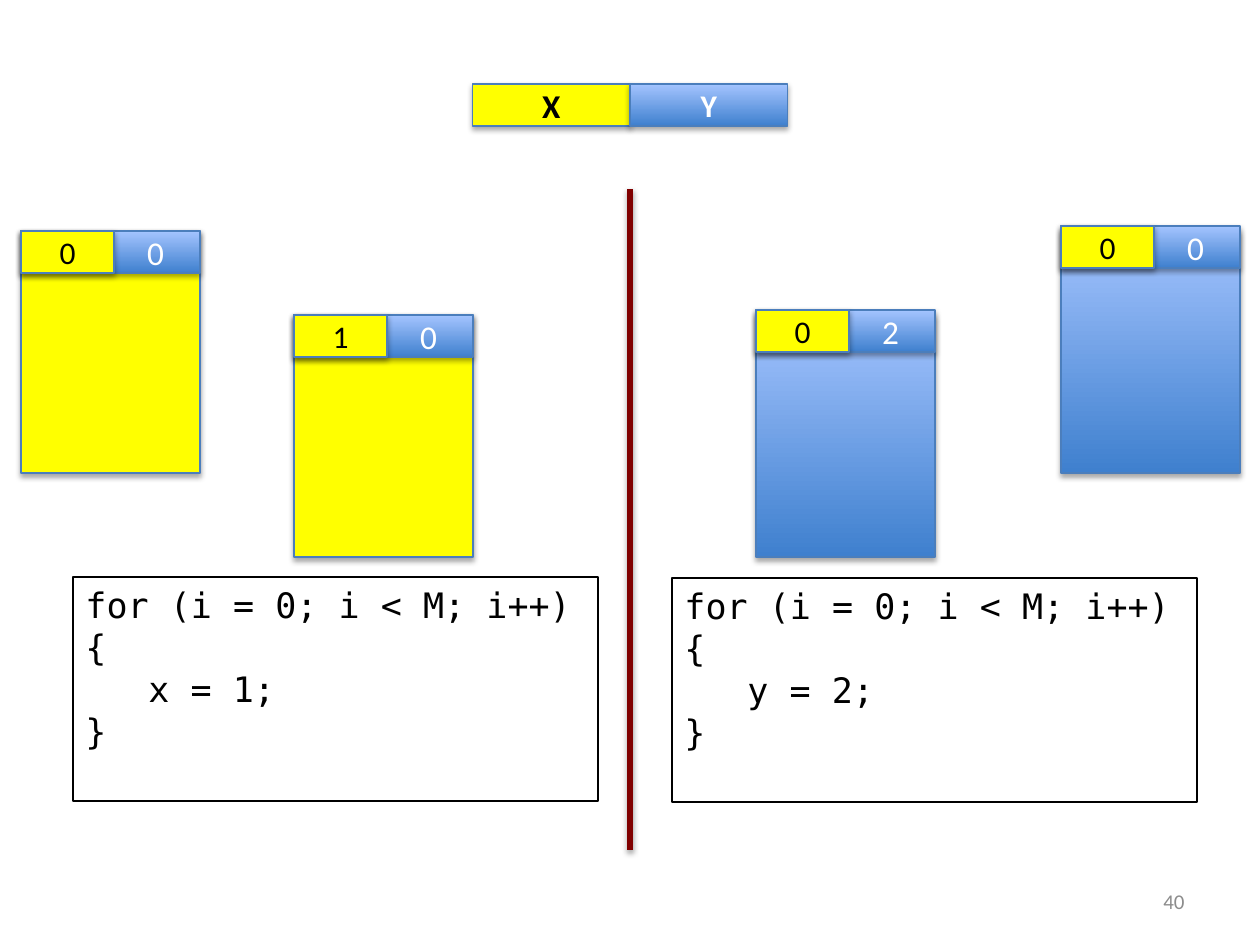
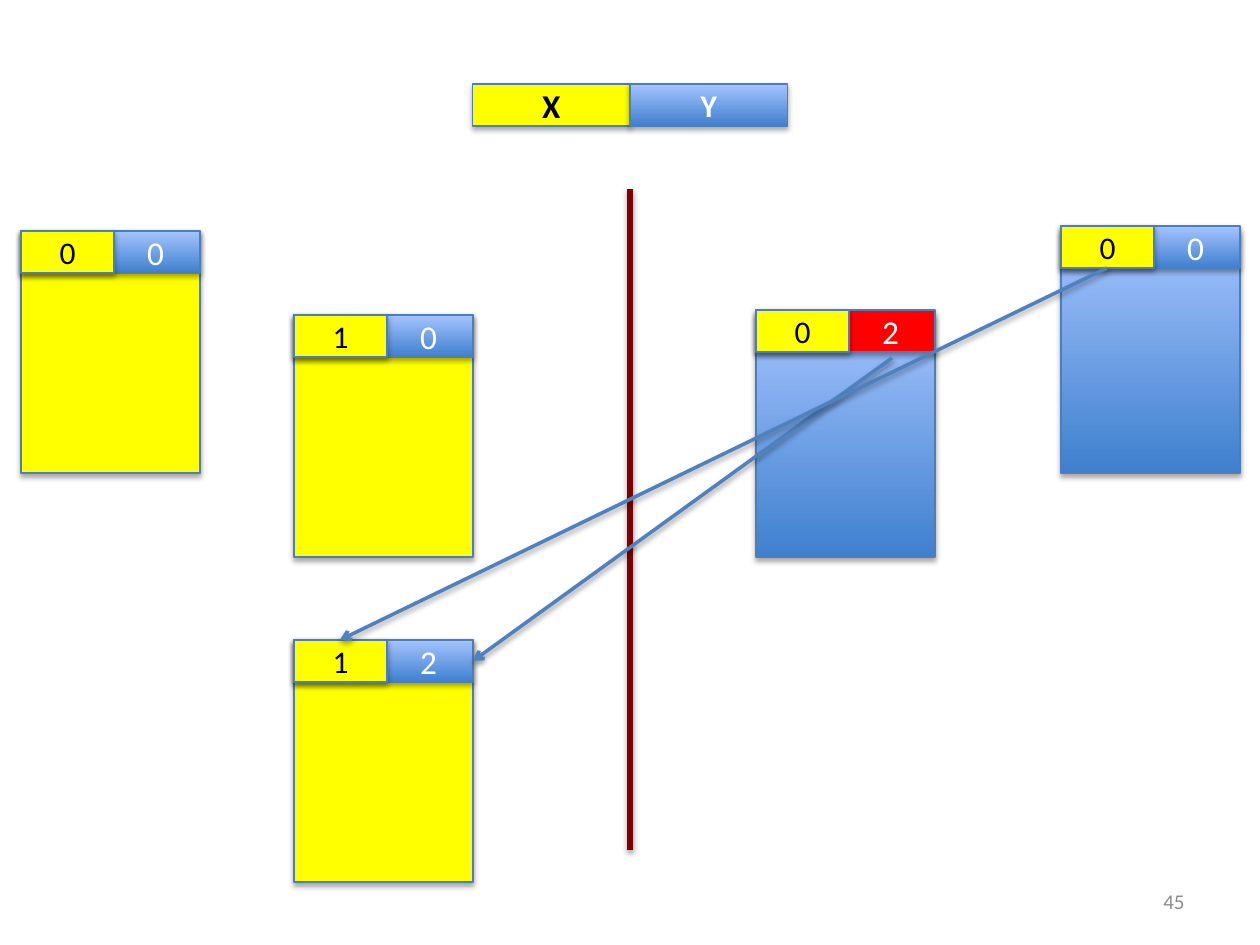
from lxml import etree
from pptx import Presentation
from pptx.dml.color import RGBColor
from pptx.enum.shapes import MSO_CONNECTOR, MSO_SHAPE
from pptx.enum.text import MSO_ANCHOR, PP_ALIGN
from pptx.oxml.ns import qn
from pptx.util import Emu, Pt

RECT = MSO_SHAPE.RECTANGLE
STRAIGHT = MSO_CONNECTOR.STRAIGHT
MIDDLE = MSO_ANCHOR.MIDDLE
LEFT, CENTER, RIGHT = PP_ALIGN.LEFT, PP_ALIGN.CENTER, PP_ALIGN.RIGHT

EMU_PER_PX = 914400 / 126
COLORS = {
    "yellow": "FFFF00", "red": "FF0000", "blue_dark": "3F80CE",
    "blue_light": "A4C4FF", "edge": "4B7EBC", "arrow": "4F81BD",
    "divider": "800000", "black": "000000", "white": "FFFFFF", "gray": "8C8C8C",
}
SANS, MONO = "Calibri", "DejaVu Sans Mono"

NODE_W, BODY_H, CELL_H, KEY_W = 179, 242, 42, 93
BLUE_DROP = 5
INITIAL_X = (21, 231)
WRITTEN_X = (294, 315)
MERGED = (294, 640)
WRITTEN_Y = (756, 310)
INITIAL_Y = (1061, 226)


def px(n):
    """Turn pixels into EMU."""
    return Emu(round(n * EMU_PER_PX))


def rgb(name):
    """Look up a named colour."""
    return RGBColor.from_string(COLORS[name])


def set_text(shape, text, size, color, align=CENTER, font=SANS, bold=False):
    """Write text into a shape and format every run."""
    tf = shape.text_frame
    tf.text = text
    for p in tf.paragraphs:
        p.alignment = align
        for r in p.runs:
            r.font.name, r.font.size, r.font.bold = font, Pt(size), bold
            r.font.color.rgb = rgb(color)


def add_shadow(sp_pr, alpha, dist):
    """Give shape properties a soft shadow falling straight down."""
    effects = sp_pr.find(qn("a:effectLst"))
    if effects is None:
        effects = etree.SubElement(sp_pr, qn("a:effectLst"))
    shadow = etree.SubElement(effects, qn("a:outerShdw"), blurRad="40000",
                              dist=str(dist), dir="5400000", rotWithShape="0")
    color = etree.SubElement(shadow, qn("a:srgbClr"), val=COLORS["black"])
    etree.SubElement(color, qn("a:alpha"), val=str(alpha * 1000))


def add_cell(shapes, x, y, w, h, fill):
    """Add an outlined rectangle, with the blue gradient or a solid colour."""
    sp = shapes.add_shape(RECT, px(x), px(y), px(w), px(h))
    if fill == "blue":
        sp.fill.gradient()
        sp.fill.gradient_angle = 90
        for stop, name in zip(sp.fill.gradient_stops, ("blue_dark", "blue_light")):
            stop.color.rgb = rgb(name)
    else:
        sp.fill.solid()
        sp.fill.fore_color.rgb = rgb(fill)
    sp.line.color.rgb = rgb("edge")
    sp.line.width = Pt(0.75)
    sp.shadow.inherit = False
    add_shadow(sp._element.spPr, 35, 23000)
    return sp


def add_line(s, start, end, color, width, arrow=False):
    """Add a shadowed straight line, with an arrowhead at its end if asked."""
    line = s.shapes.add_connector(STRAIGHT, *map(px, start + end))
    line.line.color.rgb = rgb(color)
    line.line.width = Pt(width)
    if arrow:
        etree.SubElement(line.line._get_or_add_ln(), qn("a:tailEnd"), type="arrow")
    add_shadow(line._element.spPr, 38, 20000)


def add_node(s, origin, x_value, y_value, body="yellow", header="blue"):
    """Add a version: a body under a header that holds the X and Y values."""
    x, y = origin
    shapes = s.shapes.add_group_shape().shapes
    body_y = y + BLUE_DROP if body == "blue" else y
    add_cell(shapes, x, body_y, NODE_W, BODY_H, body)
    add_cell(shapes, x, y, NODE_W, CELL_H, header)
    key = add_cell(shapes, x, y, KEY_W, CELL_H, "yellow")
    set_text(key, x_value, 18, "black")
    value = shapes.add_textbox(px(x + 113), px(y - 5), px(43), px(53))
    value.text_frame.word_wrap = False
    set_text(value, y_value, 19, "white")


def add_code(s, x, y, statement):
    """Add a framed loop that runs one statement."""
    sp = s.shapes.add_textbox(px(x), px(y), px(525), px(224))
    sp.text_frame.word_wrap = True
    sp.line.color.rgb = rgb("black")
    sp.line.width = Pt(1.5)
    set_text(sp, f"for (i = 0; i < M; i++)\n{{\n\t{statement}\n}}", 20, "black",
             LEFT, MONO)


def add_number(s, number):
    """Add the slide number at the bottom right."""
    sp = s.shapes.add_textbox(px(903), px(876), px(294), px(50))
    sp.text_frame.word_wrap = True
    sp.text_frame.vertical_anchor = MIDDLE
    set_text(sp, number, 12, "gray", RIGHT)


def add_variables(s, x, y):
    """Add the X and Y cells that name the two variables."""
    for i, (name, fill, color, size) in enumerate(
            (("X", "yellow", "black", 19), ("Y", "blue", "white", 18))):
        cell = add_cell(s.shapes, x + i * 157.5, y, 157.5, CELL_H, fill)
        set_text(cell, name, size, color, bold=True)


def add_base(prs, number, written_y_fill):
    """Start a slide with the variables, the divider and the four versions."""
    s = prs.slides.add_slide(prs.slide_layouts[6])
    add_number(s, number)
    add_variables(s, 472.5, 84)
    add_line(s, (630, 189), (630, 850), "divider", 3)
    add_node(s, WRITTEN_X, "1", "0")
    add_node(s, WRITTEN_Y, "0", "2", "blue", written_y_fill)
    add_node(s, INITIAL_Y, "0", "0", "blue")
    add_node(s, INITIAL_X, "0", "0")
    return s


def build_loops(prs):
    """Build the slide on which each side runs its loop."""
    s = add_base(prs, "40", "blue")
    add_code(s, 73, 577, "x = 1;")
    add_code(s, 672, 578, "y = 2;")


def build_merge(prs):
    """Build the slide on which both sides flow into a merged version."""
    s = add_base(prs, "45", "red")
    add_node(s, MERGED, "1", "2")
    x, y = MERGED
    value_from = (WRITTEN_Y[0] + (KEY_W + NODE_W) // 2, WRITTEN_Y[1] + CELL_H + 6)
    key_from = (INITIAL_Y[0] + KEY_W // 2, INITIAL_Y[1] + CELL_H)
    add_line(s, value_from, (x + NODE_W, y + CELL_H // 2), "arrow", 2, True)
    add_line(s, key_from, (x + KEY_W // 2, y), "arrow", 2, True)


def main():
    """Build and save the presentation."""
    prs = Presentation()
    prs.slide_width, prs.slide_height = px(1260), px(945)
    build_loops(prs)
    build_merge(prs)
    prs.save("out.pptx")


if __name__ == "__main__":
    main()
